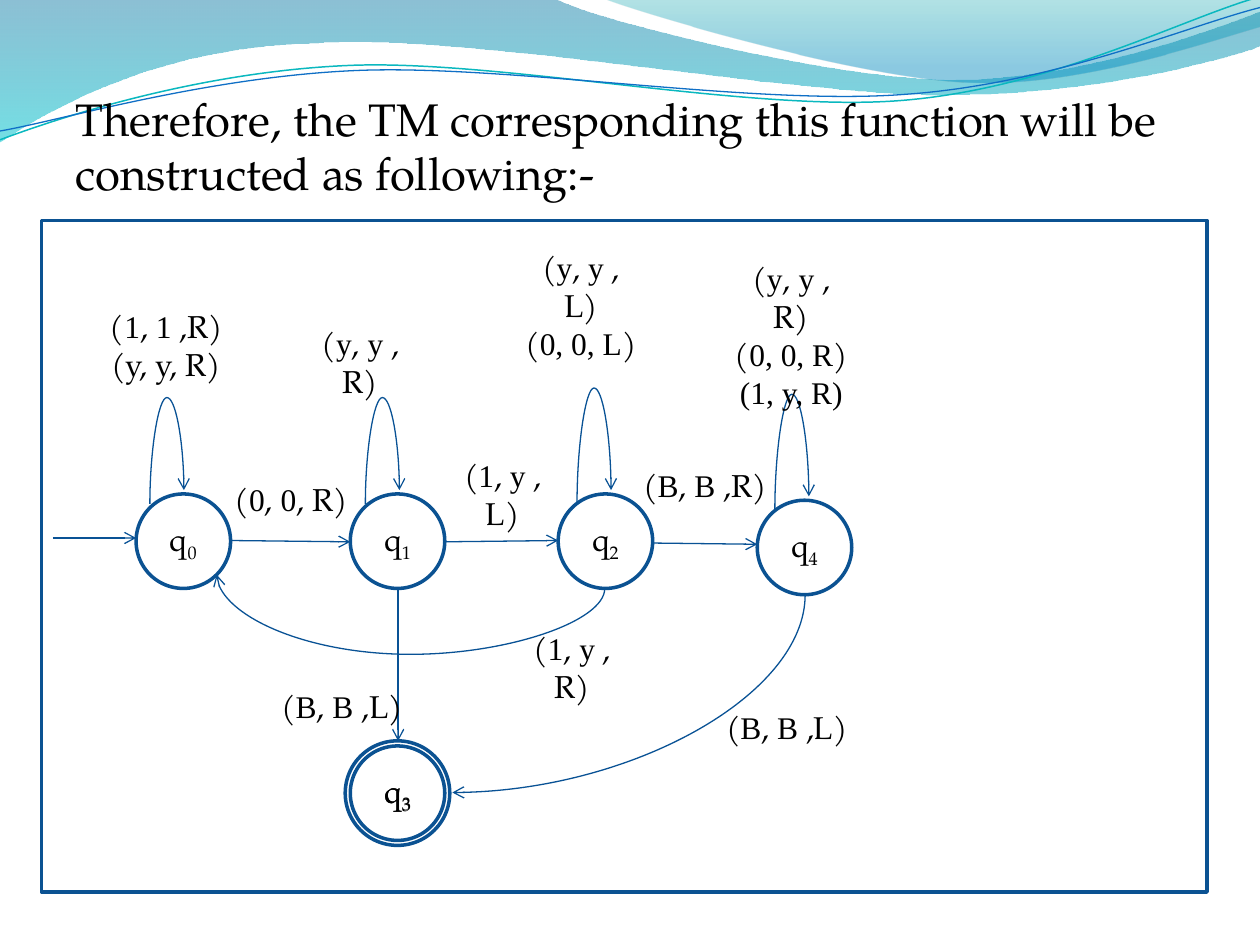
from lxml import etree
from pptx import Presentation
from pptx.dml.color import RGBColor
from pptx.enum.shapes import MSO_CONNECTOR as CONN, MSO_SHAPE as SHAPE
from pptx.enum.text import MSO_ANCHOR as ANCHOR, PP_ALIGN as ALIGN
from pptx.oxml.ns import qn
from pptx.util import Inches, Pt

COLORS = {"text": "000000", "outline": "0B5292", "arrow": "095295",
          "deep": "0074A1", "cyan": "00C6CF", "teal": "00A1A9", "blue": "008BBF",
          "teal_line": "0AB8BF", "blue_line": "0F6FC6"}
SERIF, ROMAN = "TeX Gyre Pagella", "Times New Roman"
UNITS = 1000  # path units per inch


def rgb(name):
    return RGBColor.from_string(COLORS[name])


def set_line(sp, color, width):
    sp.line.color.rgb = rgb(color)
    sp.line.width = Pt(width)


def style_font(font, size, name=SERIF):
    font.size, font.name = Pt(size), name
    font.color.rgb = rgb("text")


# Wave decoration
def outline(slide, start, parts, closed):
    """A part is one point for a line or three for a curve."""
    points = [start] + [part[-1] for part in parts]
    left, top = (min(values) for values in zip(*points))
    scaled = [(x * UNITS, y * UNITS) for x, y in points]
    fb = slide.shapes.build_freeform(*scaled[0], scale=Inches(1) / UNITS)
    fb.add_line_segments(scaled[1:], close=closed)
    sp = fb.convert_to_shape()
    sp.shadow.inherit = False
    for segment, part in zip(list(sp._element.iter(qn("a:lnTo"))), parts):
        if len(part) == 3:
            segment.addprevious(bezier(part, left, top))
            segment.getparent().remove(segment)
    return sp


def bezier(part, left, top):
    cubic = etree.Element(qn("a:cubicBezTo"))
    for x, y in part:
        pt = etree.SubElement(cubic, qn("a:pt"))
        pt.set("x", str(round((x - left) * UNITS)))
        pt.set("y", str(round((y - top) * UNITS)))
    return cubic


def wave_band(slide, start, parts, stops):
    sp = outline(slide, start, parts, True)
    sp.line.fill.background()
    sp.fill.gradient()
    sp.fill.gradient_angle = 270
    for stop, (position, color, _) in zip(sp.fill.gradient_stops, stops):
        stop.position = position
        stop.color.rgb = rgb(color)
    for clr, (_, _, alpha) in zip(sp._element.spPr.iter(qn("a:srgbClr")), stops):
        etree.SubElement(clr, qn("a:alpha")).set("val", str(alpha * 1000))


def wave_line(slide, start, parts, color, width):
    sp = outline(slide, start, parts, False)
    sp.fill.background()
    set_line(sp, color, width)


def waves(slide):
    wave_band(slide, (0, 0), [
        [(4.4, -0.01)], [(4.76, 0.17), (6.64, 0.63), (7.58, 0.63)],
        [(8.53, 0.63), (9.58, 0.26), (10, 0.09)], [(10.01, 0.36)],
        [(9.83, 0.44), (8.7, 0.76), (7.46, 0.75)],
        [(6.22, 0.75), (3.82, 0.28), (2.57, 0.34)],
        [(1.29, 0.36), (0.46, 0.83), (-0.01, 1.13)],
    ], [(0, "deep", 45), (1, "cyan", 55)])
    wave_band(slide, (4.79, -0.01), [
        [(5.09, 0.11), (6.82, 0.62), (7.69, 0.65)],
        [(8.56, 0.69), (9.61, 0.32), (10, 0.21)], [(10, 0)],
    ], [(0, "teal", 30), (0.8, "blue", 45)])
    wave_line(slide, (0, 1.11), [
        [(0.48, 0.93), (1.58, 0.57), (2.77, 0.52)],
        [(3.95, 0.47), (5.93, 0.89), (7.13, 0.8)],
        [(8.33, 0.71), (9.38, 0.15), (9.98, -0.02)]], "teal_line", 0.85)
    wave_line(slide, (0, 1.04), [
        [(0.47, 0.96), (1.64, 0.61), (2.83, 0.56)],
        [(4.03, 0.51), (5.97, 0.84), (7.17, 0.75)],
        [(8.36, 0.67), (9.41, 0.21), (10, 0.06)]], "blue_line", 0.75)


# Heading
def heading(slide, x, y, w, h, text):
    tf = slide.shapes.add_textbox(*map(Inches, (x, y, w, h))).text_frame
    tf.word_wrap = True
    p = tf.paragraphs[0]
    p.text = text
    style_font(p.font, 26)


# Diagram parts
def plain_shape(slide, kind, x, y, w, h):
    sp = slide.shapes.add_shape(kind, *map(Inches, (x, y, w, h)))
    sp.shadow.inherit = False
    sp.fill.background()
    set_line(sp, "outline", 2)
    return sp


def state(slide, x, y, number, size=0.75):
    tf = plain_shape(slide, SHAPE.OVAL, x, y, size, size).text_frame
    tf.vertical_anchor = ANCHOR.MIDDLE
    p = tf.paragraphs[0]
    p.alignment = ALIGN.CENTER
    for text in ("q", number):
        r = p.add_run()
        r.text = text
        style_font(r.font, 18)
    r.font._element.set("baseline", "-25000")


def label(slide, x, y, w, h, *lines):
    """Bars in a line switch between the two fonts."""
    tf = slide.shapes.add_textbox(*map(Inches, (x, y, w, h))).text_frame
    tf.word_wrap = True
    tf.vertical_anchor = ANCHOR.MIDDLE
    for i, line in enumerate(lines):
        p = tf.add_paragraph() if i else tf.paragraphs[0]
        p.alignment = ALIGN.CENTER
        for j, piece in enumerate(line.split("|")):
            if piece:
                r = p.add_run()
                r.text = piece
                style_font(r.font, 18, ROMAN if j % 2 else SERIF)


def arrow(slide, start, end, kind=CONN.STRAIGHT):
    cx = slide.shapes.add_connector(kind, *map(Inches, (*start, *end)))
    set_line(cx, "arrow", 0.75)
    spPr = cx._element.spPr
    etree.SubElement(spPr.find(qn("a:ln")), qn("a:tailEnd")).set("type", "arrow")
    etree.SubElement(spPr, qn("a:effectLst"))
    return spPr


def curve(slide, start, end, bend=None):
    """A curve leaving vertically: a connector turned by 90 degrees."""
    mx, my = (start[0] + end[0]) / 2, (start[1] + end[1]) / 2
    dx, dy = start[0] - mx, start[1] - my
    spPr = arrow(slide, (mx + dy, my - dx), (mx - dy, my + dx), CONN.CURVE)
    spPr.find(qn("a:xfrm")).set("rot", "5400000")
    geom = spPr.find(qn("a:prstGeom"))
    if bend is None:
        geom.set("prst", "curvedConnector2")
    else:
        guides = geom.find(qn("a:avLst"))
        if guides is None:
            guides = etree.SubElement(geom, qn("a:avLst"))
        gd = etree.SubElement(guides, qn("a:gd"))
        gd.set("name", "adj1")
        gd.set("fmla", f"val {round(bend * 100000)}")


def diagram(slide, x, y, w, h):
    def at(dx, dy):
        return x + dx, y + dy

    # States, each of the upper ones with a loop
    for dx, dy, number, inset, bend in [
            (0.75, 2.17, "0", 0.11, 7.69), (2.45, 2.17, "1", 0.12, 7.69),
            (4.1, 2.17, "2", 0.15, 8.38), (5.68, 2.22, "4", 0.14, 8.38)]:
        state(slide, *at(dx, dy), number)
        curve(slide, at(dx + inset, dy + 0.08), at(dx + inset + 0.27, dy - 0.03), bend)
    state(slide, *at(2.45, 4.17), "3")
    state(slide, *at(2.41, 4.13), "3", 0.83)

    # Transitions
    for start, end in [((0.09, 2.52), (0.75, 2.52)), ((1.5, 2.54), (2.45, 2.55)),
                       ((3.2, 2.55), (4.1, 2.54)), ((4.85, 2.56), (5.68, 2.57)),
                       ((2.83, 2.92), (2.83, 4.13))]:
        arrow(slide, at(*start), at(*end))
    curve(slide, at(4.47, 2.92), at(1.39, 2.81), -4.76)
    curve(slide, at(6.06, 2.97), at(3.26, 4.54))

    # Transition labels
    for dx, dy, lw, lh, *lines in [
            (1.42, 1.92, 1.12, 0.58, "(|0|, |0|, R)"),
            (1.97, 0.83, 1.12, 0.58, "(|y|, |y| , R)"),
            (4.65, 1.85, 1.23, 0.49, "(|B|, |B| ,R)"),
            (0.43, 0.58, 1.12, 0.81, "(|1|, |1| ,R)", "(y, y, R)"),
            (3.1, 1.88, 1.12, 0.58, "(|1|, |y| , L)"),
            (3.72, 0.17, 1.12, 1, "(|y|, |y| , L)", "(|0, 0, L|)"),
            (3.65, 3.25, 1.12, 0.58, "(|1|, |y| , R)"),
            (1.77, 3.61, 1.23, 0.49, "(|B|, |B| ,L)"),
            (5.39, 0.33, 1.12, 1.16, "(|y|, |y| , R)", "(|0, 0, R|)", "|(1, y, R)"),
            (5.3, 3.77, 1.23, 0.49, "(|B|, |B| ,L)")]:
        label(slide, *at(dx, dy), lw, lh, *lines)

    # Frame
    plain_shape(slide, SHAPE.RECTANGLE, x, y, w, h)


prs = Presentation()
prs.slide_width, prs.slide_height = Inches(10), Inches(7.5)
s = prs.slides.add_slide(prs.slide_layouts[6])
waves(s)
heading(s, 0.5, 0.67, 9, 1,
        "Therefore, the TM corresponding this function will be constructed as following:-")
diagram(s, 0.33, 1.75, 9.25, 5.33)
prs.save("out.pptx")
